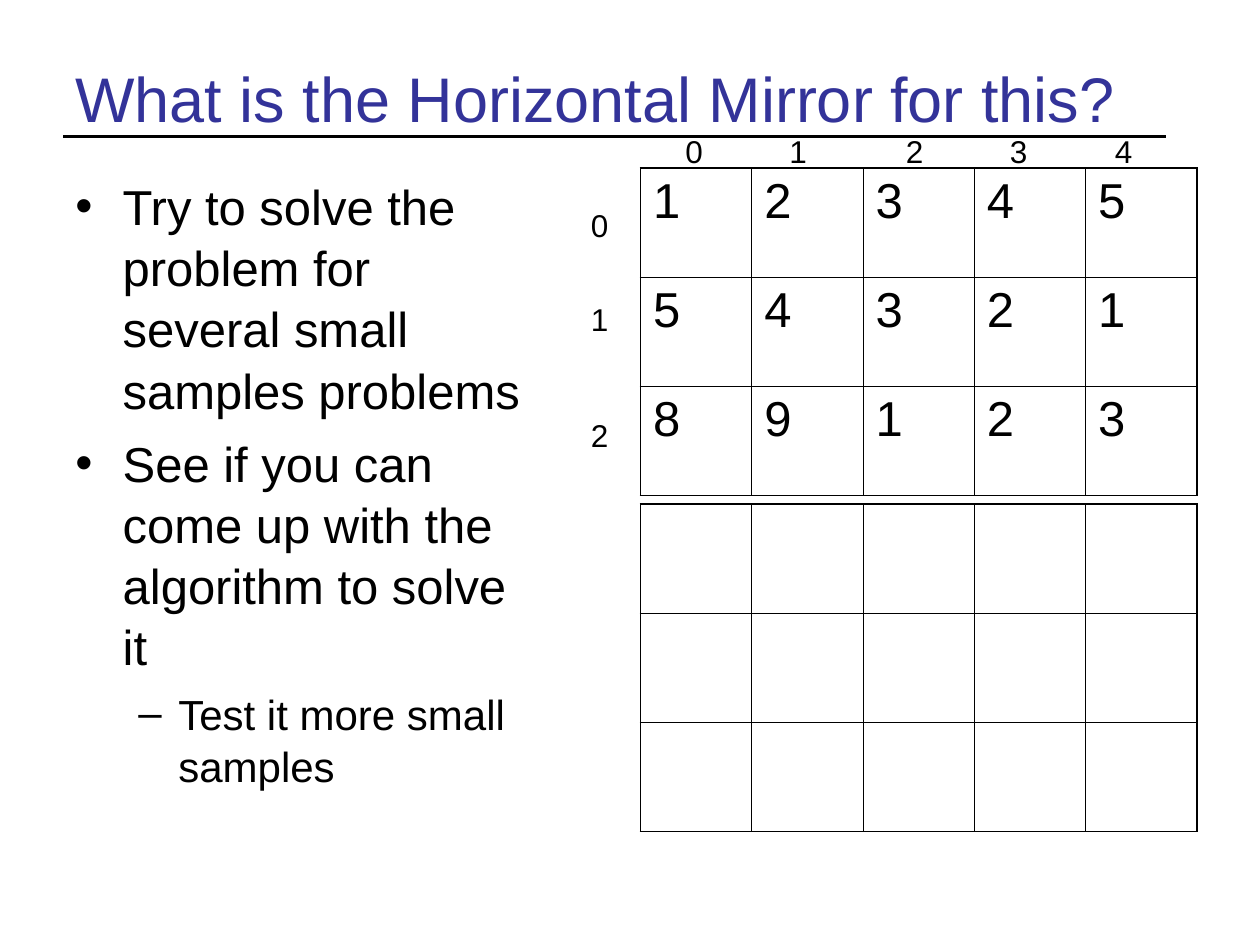
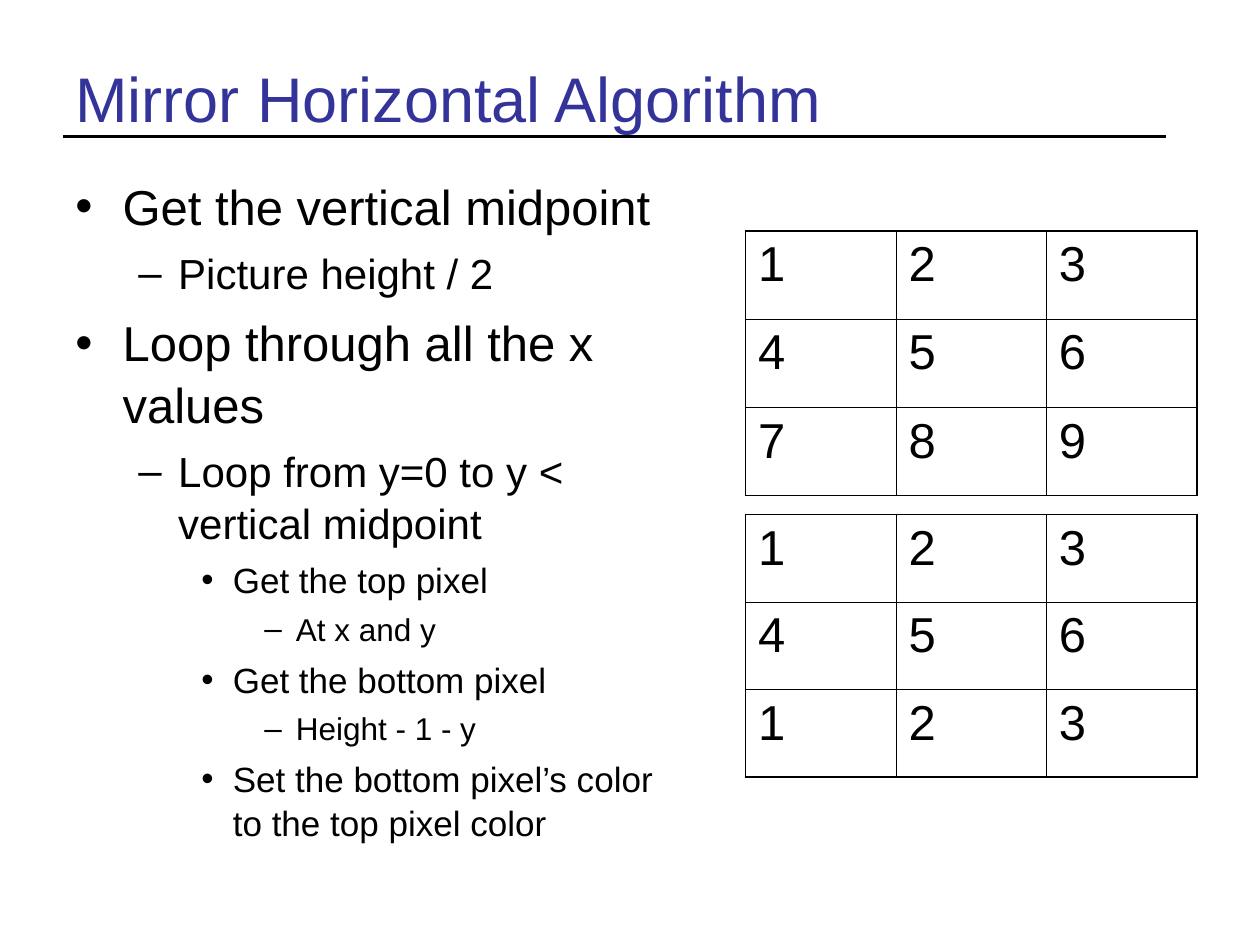
import lxml.etree
import pptx
import pptx.dml.color
import pptx.enum.shapes
import pptx.enum.text
import pptx.oxml.ns
import pptx.util

PX = 7620
FONT = "Arial"
TITLE_BLUE = pptx.dml.color.RGBColor(0x33, 0x33, 0x99)
BLACK = pptx.dml.color.RGBColor(0, 0, 0)
THIN, THICK = 0.45, 1.08
OUTLINE_LEVELS = [
    {"bullet": "•", "left": 45, "hanging": 45, "size": 28, "before": 7},
    {"bullet": "–", "left": 98, "hanging": 38, "size": 24, "before": 6},
    {"bullet": "•", "left": 150, "hanging": 30, "size": 20, "before": 5},
    {"bullet": "–", "left": 210, "hanging": 30, "size": 18, "before": 4.5},
]


def px(*lengths):
    """Turn whole pixels into EMU lengths."""
    return [pptx.util.Emu(length * PX) for length in lengths]


def add_element(parent, tag, **attributes):
    """Append a drawing element to its parent and return it."""
    values = {name: str(value) for name, value in attributes.items()}
    return lxml.etree.SubElement(parent, pptx.oxml.ns.qn(tag), values)


def write_text(paragraph, text, size=28, color=BLACK, before=0, spacing=None):
    """Fill a paragraph with formatted text."""
    paragraph.text = text
    paragraph.font.name = FONT
    paragraph.font.size = pptx.util.Pt(size)
    paragraph.font.color.rgb = color
    if before:
        paragraph.space_before = pptx.util.Pt(before)
    if spacing:
        paragraph.line_spacing = spacing


def add_text_frame(slide, box, wrap=True):
    """Add a text box and return its text frame."""
    frame = slide.shapes.add_textbox(*px(*box)).text_frame
    frame.word_wrap = wrap
    return frame


def add_title(slide, text):
    """Add the slide title and the rule below it."""
    rule = slide.shapes.add_connector(
        pptx.enum.shapes.MSO_CONNECTOR.STRAIGHT, *px(60, 130, 1110, 130))
    rule.line.color.rgb = BLACK
    rule.line.width = pptx.util.Pt(1.5)
    add_element(rule._element.spPr, "a:effectLst")
    frame = add_text_frame(slide, (60, 36, 1080, 114))
    frame.vertical_anchor = pptx.enum.text.MSO_ANCHOR.MIDDLE
    write_text(frame.paragraphs[0], text, size=36, color=TITLE_BLUE)


def add_outline(slide, width, items):
    """Add a bulleted outline of (level, text) items."""
    frame = add_text_frame(slide, (60, 160, width, 644))
    for index, (level, text) in enumerate(items):
        paragraph = frame.add_paragraph() if index else frame.paragraphs[0]
        style = OUTLINE_LEVELS[level]
        paragraph.level = level
        properties = paragraph._p.get_or_add_pPr()
        properties.set("marL", str(style["left"] * PX))
        properties.set("indent", str(-style["hanging"] * PX))
        bullet_color = add_element(properties, "a:buClr")
        add_element(bullet_color, "a:srgbClr", val=BLACK)
        add_element(properties, "a:buFont", typeface=FONT)
        add_element(properties, "a:buChar", char=style["bullet"])
        write_text(paragraph, text, size=style["size"],
                   before=style["before"] if index else 0, spacing=1.04)


def set_borders(cell, **widths):
    """Draw the cell's borders, given in the order L, R, T, B."""
    properties = cell._tc.get_or_add_tcPr()
    for side, width in widths.items():
        border = add_element(properties, f"a:ln{side}", w=pptx.util.Pt(width))
        fill = add_element(border, "a:solidFill")
        add_element(fill, "a:srgbClr", val=BLACK)


def add_pixel_grid(slide, box, rows):
    """Add a table of pixel values with a heavier outer border."""
    row_count, column_count = len(rows), len(rows[0])
    table = slide.shapes.add_table(row_count, column_count, *px(*box)).table
    table.first_row = table.horz_banding = False
    for row_index, values in enumerate(rows):
        for column_index, value in enumerate(values):
            cell = table.cell(row_index, column_index)
            set_borders(
                cell,
                L=THIN if column_index else THICK,
                R=THICK if column_index == column_count - 1 else THIN,
                T=THIN if row_index else THICK,
                B=THICK if row_index == row_count - 1 else THIN)
            cell.fill.background()
            write_text(cell.text_frame.paragraphs[0], value)


def add_index_labels(slide, positions):
    """Number the given positions from zero."""
    for index, (left, top) in enumerate(positions):
        frame = add_text_frame(slide, (left, top, 41, 48), wrap=False)
        write_text(frame.paragraphs[0], str(index), size=18)


def add_question_slide(presentation):
    """Add the slide that asks for the mirrored grid."""
    slide = presentation.slides.add_slide(presentation.slide_layouts[6])
    add_title(slide, "What is the Horizontal Mirror for this?")
    add_outline(slide, 460, [
        (0, "Try to solve the problem for several small samples problems"),
        (0, "See if you can come up with the algorithm to solve it"),
        (1, "Test it more small samples"),
    ])
    add_pixel_grid(slide, (610, 160, 530, 312), ["12345", "54321", "89123"])
    add_pixel_grid(slide, (610, 480, 530, 312), [[""] * 5] * 3)
    add_index_labels(slide, [(left, 120) for left in (641, 740, 851, 950, 1050)])
    add_index_labels(slide, [(551, top) for top in (190, 280, 390)])


def add_algorithm_slide(presentation):
    """Add the slide that explains the mirroring steps."""
    slide = presentation.slides.add_slide(presentation.slide_layouts[6])
    add_title(slide, "Mirror Horizontal Algorithm")
    add_outline(slide, 610, [
        (0, "Get the vertical midpoint"),
        (1, "Picture height / 2"),
        (0, "Loop through all the x values"),
        (1, "Loop from y=0 to y < vertical midpoint"),
        (2, "Get the top pixel"),
        (3, "At x and y"),
        (2, "Get the bottom pixel"),
        (3, "Height - 1 - y"),
        (2, "Set the bottom pixel’s color to the top pixel color"),
    ])
    add_pixel_grid(slide, (710, 220, 430, 252), ["123", "456", "789"])
    add_pixel_grid(slide, (710, 490, 430, 250), ["123", "456", "123"])


def main():
    """Build the presentation and save it."""
    presentation = pptx.Presentation()
    presentation.slide_width, presentation.slide_height = px(1200, 900)
    add_question_slide(presentation)
    add_algorithm_slide(presentation)
    presentation.save("out.pptx")


if __name__ == "__main__":
    main()
